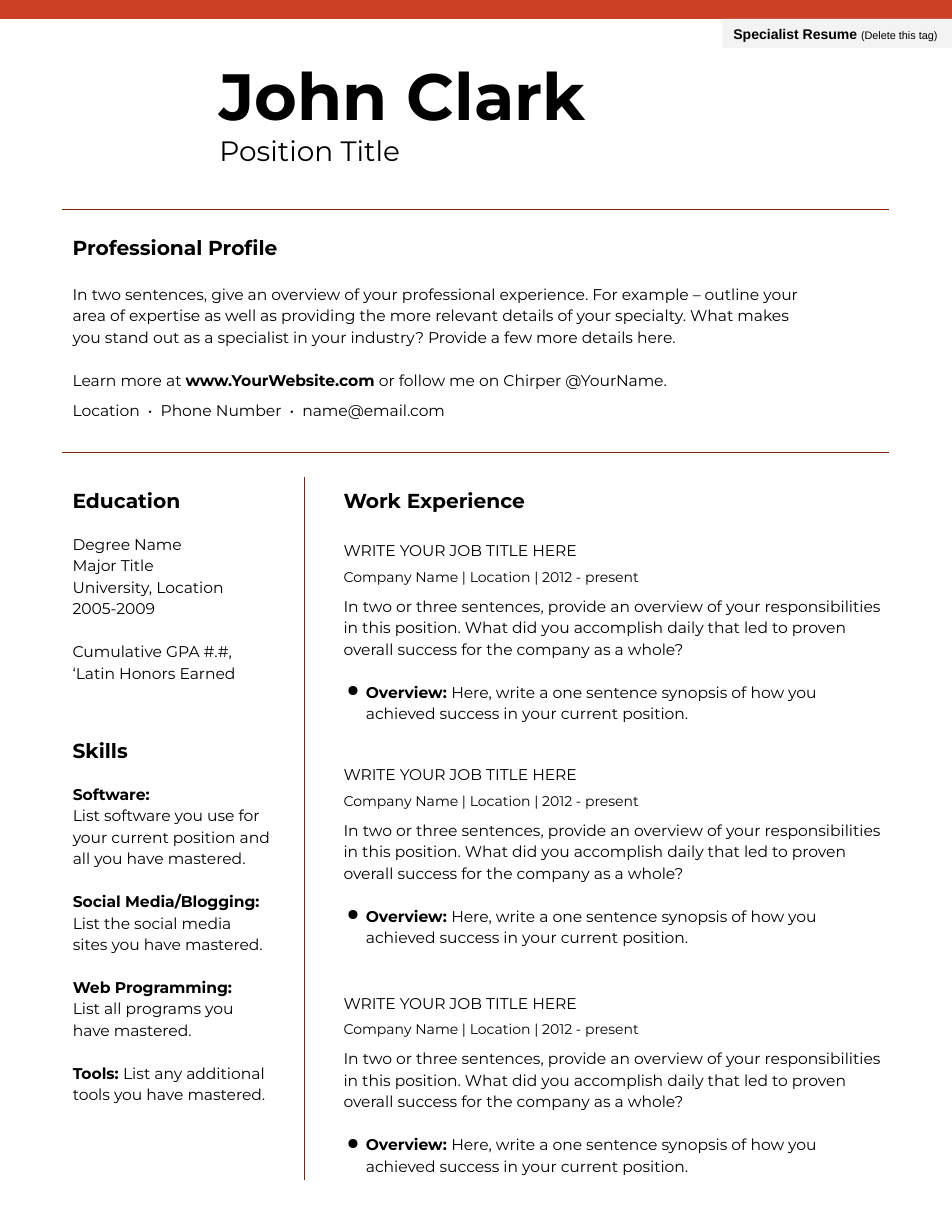
import pptx
import pptx.util
import pptx.dml.color
import pptx.enum.shapes
import pptx.enum.text
import pptx.oxml
import pptx.oxml.ns
from lxml import etree

Pt = pptx.util.Pt
COLORS = {"bar": "CC4125", "rule": "85200C", "tag": "F3F3F3", "text": "000000"}
LEFT, MIDDLE, RIGHT = 39.6, 134, 213.8
GAP = 13.8  # one blank line of body text

deck = pptx.Presentation()
deck.slide_width, deck.slide_height = Pt(612), Pt(792)
page = deck.slides.add_slide(deck.slide_layouts[1])


def rgb(name):
    return pptx.dml.color.RGBColor.from_string(COLORS[name])


def write(box, place, paragraphs, size=10, spacing=1.0, font="Montserrat", anchor="TOP", grow=True):
    """Each paragraph is (spans, format); each span is (text, format)."""
    box.left, box.top, box.width, box.height = [Pt(value) for value in place]
    frame = box.text_frame
    resize = pptx.enum.text.MSO_AUTO_SIZE
    settings = {
        "word_wrap": True,
        "auto_size": resize.SHAPE_TO_FIT_TEXT if grow else resize.NONE,
        "vertical_anchor": getattr(pptx.enum.text.MSO_ANCHOR, anchor),
        "margin_left": Pt(7.2), "margin_right": Pt(7.2),
        "margin_top": Pt(7.2), "margin_bottom": Pt(7.2),
    }
    for name, value in settings.items():
        setattr(frame, name, value)
    for index, (spans, layout) in enumerate(paragraphs):
        para = frame.paragraphs[0] if index == 0 else frame.add_paragraph()
        # Bullet or none, with its hanging indent
        properties = para._p.get_or_add_pPr()
        bullet = layout.get("bullet")
        properties.set("marL", str(Pt(14.4) if bullet else 0))
        properties.set("indent", str(Pt(-12.24) if bullet else 0))
        if bullet:
            color = etree.SubElement(properties, pptx.oxml.ns.qn("a:buClr"))
            etree.SubElement(color, pptx.oxml.ns.qn("a:srgbClr"), val=COLORS["text"])
            etree.SubElement(properties, pptx.oxml.ns.qn("a:buChar"), char=bullet)
        else:
            etree.SubElement(properties, pptx.oxml.ns.qn("a:buNone"))
        para.alignment = pptx.enum.text.PP_ALIGN.LEFT
        para.line_spacing = spacing
        para.space_before = Pt(layout.get("before", 0))
        for text, style in spans:
            span = para.add_run()
            span.text = text
            formats = {"name": font, "size": Pt(size), "bold": False, **style}
            for name, value in formats.items():
                setattr(span.font, name, value)
            span.font.color.rgb = rgb("text")


def add_text(place, paragraphs, **options):
    write(page.shapes.add_textbox(0, 0, 0, 0), place, paragraphs, **options)


BOLD = {"bold": True}

# Top bar and tag
blocks = {}
for name, place in {"bar": (0, 0, 612, 12.2), "tag": (464.4, 12.2, 147.6, 18.7)}.items():
    block = page.shapes.add_shape(pptx.enum.shapes.MSO_SHAPE.RECTANGLE, *[Pt(v) for v in place])
    block.shadow.inherit = False
    block.fill.solid()
    block.fill.fore_color.rgb = rgb(name)
    block.line.fill.background()
    blocks[name] = block
write(blocks["tag"], (464.4, 12.2, 147.6, 18.7),
      [([("Specialist Resume ", BOLD), ("(Delete this tag)", {"size": Pt(7)})], {})],
      size=9, font="Arial", anchor="MIDDLE", grow=False)

# Rules
for x1, y1, x2, y2 in [(LEFT, 134.6, 571.7, 134.6), (LEFT, 290.9, 571.7, 290.9),
                       (195.8, 306.7, 195.8, 758.9)]:
    rule = page.shapes.add_connector(pptx.enum.shapes.MSO_CONNECTOR.STRAIGHT,
                                     Pt(x1), Pt(y1), Pt(x2), Pt(y2))
    rule.line.color.rgb = rgb("rule")
    rule.line.width = Pt(0.75)
    etree.SubElement(rule._element.spPr, pptx.oxml.ns.qn("a:effectLst"))

# Name and position
write(page.shapes.title, (MIDDLE, 28.1, 362.2, 65.5), [([("John Clark", BOLD)], {})], size=42)
add_text((MIDDLE, 78.5, 437.8, 36), [([("Position Title", {})], {})], size=18)

# Section headings
for heading, left, top, width in [
    ("Professional Profile", LEFT, 144, 547.2),
    ("Education", LEFT, 306.7, 90.7),
    ("Work Experience", RIGHT, 306.7, 223.9),
    ("Skills", LEFT, 467.3, 90.7),
]:
    add_text((left, top, width, 30.2), [([(heading, BOLD)], {})], size=13)

# Profile and contact
add_text((LEFT, 174.2, 493.9, 82.1), [
    ([("In two sentences, give an overview of your professional experience. For example – outline "
       "your area of expertise as well as providing the more relevant details of your specialty. "
       "What makes you stand out as a specialist in your industry? Provide a few more details "
       "here.", {})], {}),
    ([("Learn more at ", {}), ("www.YourWebsite.com ", BOLD),
      ("or follow me on Chirper @YourName.", {})], {"before": GAP}),
], spacing=1.15)
add_text((LEFT, 252, 269.3, 26.6),
         [([("Location  •  Phone Number  •  name@email.com", {})], {})])

# Education
degree = ["Degree Name", "Major Title", "University, Location", "2005-2009",
          "Cumulative GPA #.#,", "‘Latin Honors Earned"]
add_text((LEFT, 334.8, 156.2, 110.2),
         [([(line, {})], {"before": GAP if line.startswith("Cumulative") else 0})
          for line in degree], spacing=1.15)

# Skills
write(page.placeholders[1], (LEFT, 495.4, 141.1, 235.4), [
    ([("Software:", BOLD)], {}),
    ([("List software you use for your current position and all you have mastered.", {})], {}),
    ([("Social Media/Blogging: ", BOLD),
      ("List the social media sites you have mastered.", {})], {"before": GAP}),
    ([("Web Programming:", BOLD)], {"before": GAP}),
    ([("List all programs you have mastered.", {})], {}),
    ([("Tools: ", BOLD), ("List any additional tools you have mastered.", {})], {"before": GAP}),
], spacing=1.15)

# Jobs
for top in (334.8, 478.8, 625.7):
    add_text((RIGHT, top, 323.3, 43.9), [
        ([("WRITE YOUR JOB TITLE HERE", {})], {}),
        ([("Company Name | Location | 2012 - present", {"size": Pt(9)})], {}),
    ], spacing=1.5)
    add_text((RIGHT, top + 39.8, 362.2, 96.5), [
        ([("In two or three sentences, provide an overview of your responsibilities in this "
           "position. What did you accomplish daily that led to proven overall success for the "
           "company as a whole?", {})], {}),
        ([("Overview: ", BOLD),
          ("Here, write a one sentence synopsis of how you achieved success in your current "
           "position.", {})], {"before": GAP, "bullet": "●"}),
    ], spacing=1.15)

deck.save("out.pptx")
